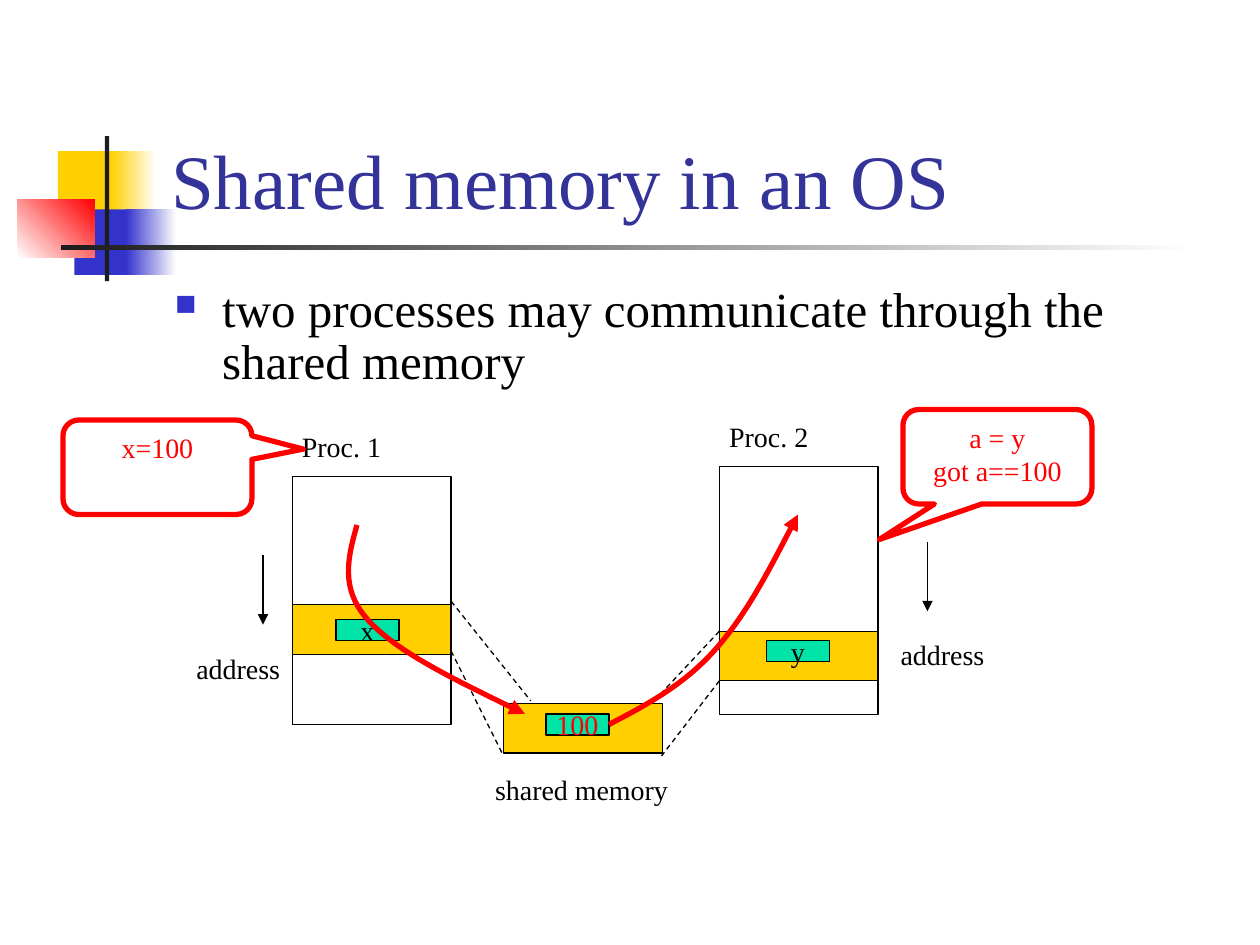
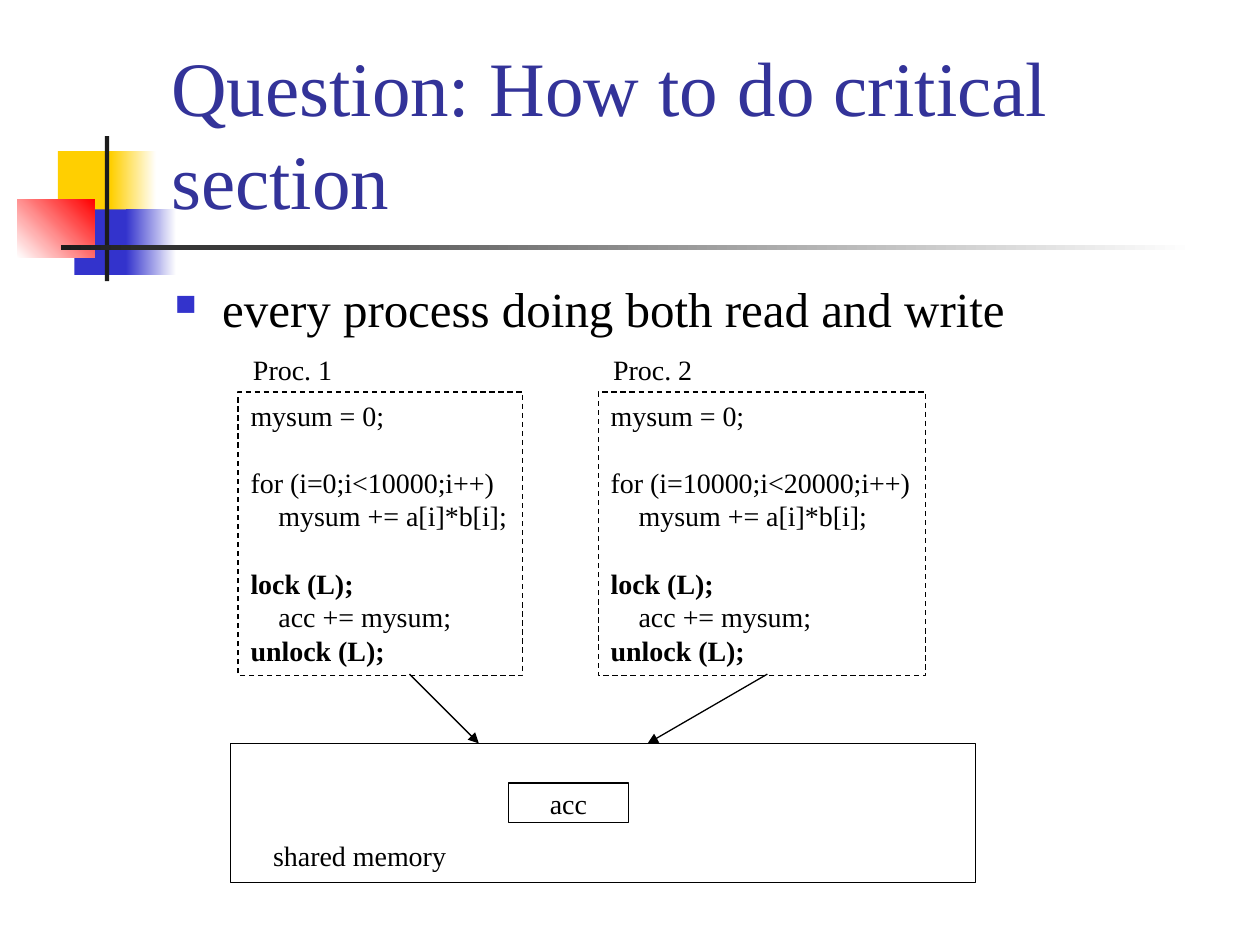
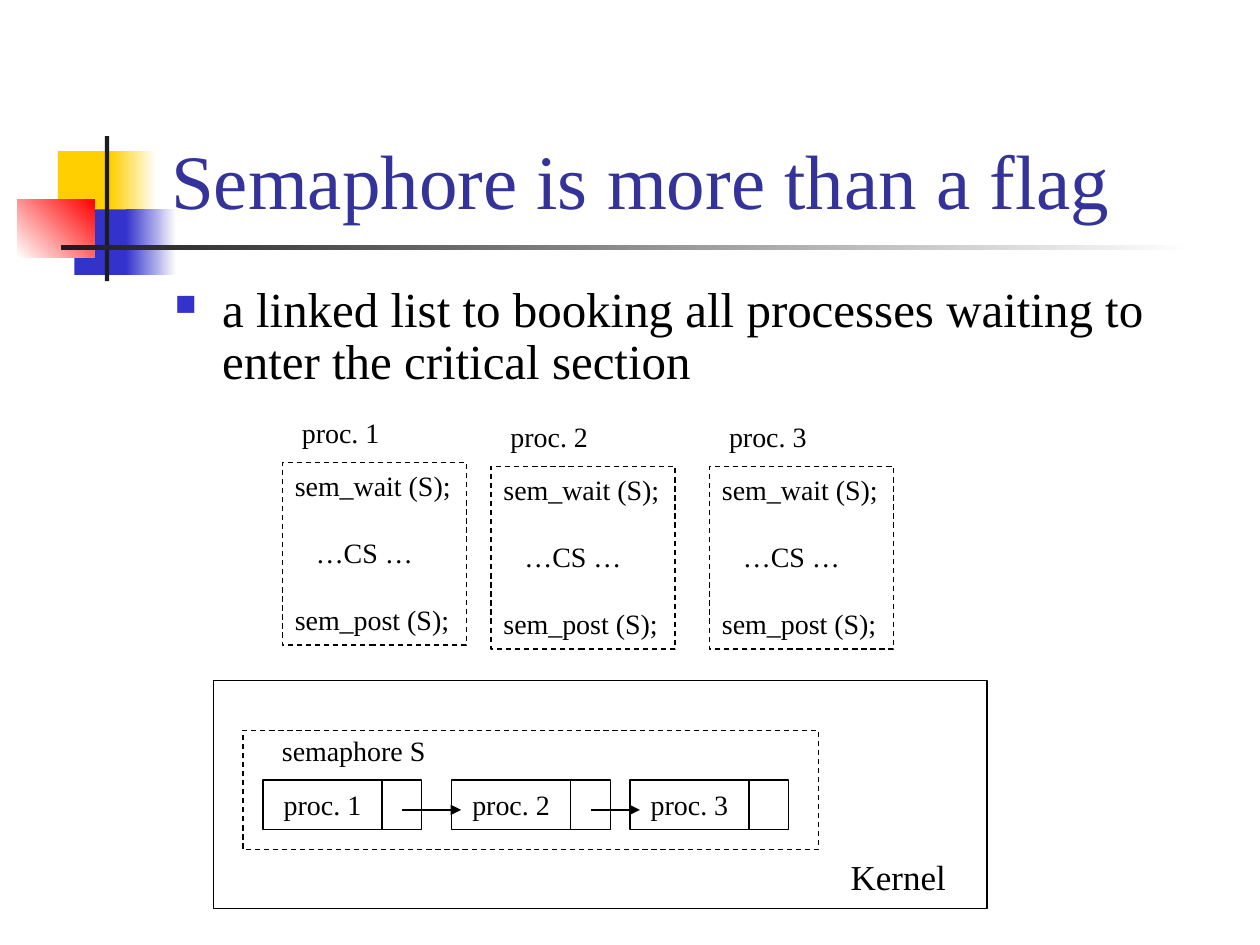
from lxml import etree
from pptx import Presentation
from pptx.dml.color import RGBColor
from pptx.enum.dml import MSO_LINE
from pptx.enum.shapes import MSO_CONNECTOR, MSO_SHAPE
from pptx.enum.text import MSO_ANCHOR, PP_ALIGN
from pptx.oxml.ns import qn
from pptx.util import Pt

RECT = MSO_SHAPE.RECTANGLE
CALLOUT = MSO_SHAPE.ROUNDED_RECTANGULAR_CALLOUT
STRAIGHT = MSO_CONNECTOR.STRAIGHT
DASH = MSO_LINE.DASH
TOP, MIDDLE, BOTTOM = MSO_ANCHOR.TOP, MSO_ANCHOR.MIDDLE, MSO_ANCHOR.BOTTOM
LEFT, CENTER = PP_ALIGN.LEFT, PP_ALIGN.CENTER

FONT = "Times New Roman"
BLACK, WHITE, RED = "000000", "FFFFFF", "FF0000"
NAVY, BLUE, YELLOW, GREEN, DARK = "333399", "3333CC", "FFCF01", "00E4A8", "1C1C1C"
LINE_HEIGHT = 19.2  # one line of 16 pt text


def rgb(value):
    return RGBColor.from_string(value)


def add_xml(parent, tag, **attrs):
    return etree.SubElement(parent, qn(tag), attrs)


def write(tf, text, size=16, color=BLACK, bold=False, align=LEFT,
          indent=0, before=0, spacing=None, bullet=None):
    """Add one paragraph; the first one fills the empty frame."""
    p = tf.paragraphs[0] if not tf.text else tf.add_paragraph()
    p.alignment = align
    p.space_before = Pt(before)
    if spacing:
        p.line_spacing = spacing
    r = p.add_run()
    r.text = text
    r.font.name, r.font.size, r.font.bold = FONT, Pt(size), bold
    r.font.color.rgb = rgb(color)
    pPr = p._p.get_or_add_pPr()
    if indent:
        pPr.set("marL", str(Pt(indent)))
    if bullet:
        pPr.set("indent", str(-Pt(indent)))
        add_xml(add_xml(pPr, "a:buClr"), "a:srgbClr", val=bullet)
        add_xml(pPr, "a:buSzPct", val="60000")
        add_xml(pPr, "a:buChar", char="■")


class Deck:
    def __init__(self):
        self.prs = Presentation()
        self.prs.slide_width, self.prs.slide_height = Pt(720), Pt(540)

    def new_slide(self, title, bullet):
        self.s = self.prs.slides.add_slide(self.prs.slide_layouts[6])
        # Coloured squares and the two rules
        self.box(33.1, 86.4, 34.6, 37.4, YELLOW, line=None)
        self.box(63.4, 86.4, 25.9, 37.4, (YELLOW, WHITE, 0), line=None)
        self.box(42.5, 119.7, 33.1, 37.4, BLUE, line=None)
        self.box(72, 119.7, 28.8, 37.4, (BLUE, WHITE, 0), line=None)
        self.box(9.8, 113.8, 44.2, 33.4, (WHITE, RED, 45), line=None)
        self.box(59.9, 77.8, 2.5, 82.8, DARK, line=None)
        self.box(34.8, 140.3, 648, 2.5, (DARK, WHITE, 0), line=None)
        # Title and bullet
        self.text(title, 90.7, 16.6, 613.4, 115.2, anchor=BOTTOM, wrap=True,
                  size=44, color=NAVY)
        self.text(bullet, 92.9, 159.1, 612, 71.3, wrap=True, size=28,
                  indent=27, before=5.6, spacing=0.9, bullet=BLUE)

    def stroke(self, sp, color=BLACK, width=0.75, dash=False, arrow=False):
        sp.line.color.rgb = rgb(color)
        sp.line.width = Pt(width)
        if dash:
            sp.line.dash_style = DASH
        if arrow:
            ln = sp.element.spPr.find(qn("a:ln"))
            add_xml(ln, "a:tailEnd", type="triangle")

    def box(self, x, y, w, h, fill=None, line=BLACK, width=0.75, dash=False,
            shape=RECT, adjust=()):
        sp = self.s.shapes.add_shape(shape, Pt(x), Pt(y), Pt(w), Pt(h))
        sp.shadow.inherit = False
        for i, value in enumerate(adjust):
            sp.adjustments[i] = value
        if fill is None:
            sp.fill.background()
        elif isinstance(fill, tuple):
            sp.fill.gradient()
            sp.fill.gradient_angle = fill[2]
            for stop, color in zip(sp.fill.gradient_stops, fill):
                stop.color.rgb = rgb(color)
        else:
            sp.fill.solid()
            sp.fill.fore_color.rgb = rgb(fill)
        if line:
            self.stroke(sp, line, width, dash)
        else:
            sp.line.fill.background()
        return sp

    def frame(self, sp, anchor=TOP, wrap=False):
        tf = sp.text_frame
        tf.word_wrap, tf.vertical_anchor = wrap, anchor
        return tf

    def text(self, text, x, y, w, h=26.6, anchor=TOP, wrap=False, **fmt):
        sp = self.s.shapes.add_textbox(Pt(x), Pt(y), Pt(w), Pt(h))
        write(self.frame(sp, anchor, wrap), text, **fmt)

    def cell(self, text, x, y, w, h, fill=None, color=BLACK):
        tf = self.frame(self.box(x, y, w, h, fill), MIDDLE)
        write(tf, text, color=color, align=CENTER)

    def callout(self, lines, x, y, adjust):
        sp = self.box(x, y, 108, 54, line=RED, width=3, shape=CALLOUT, adjust=adjust)
        tf = self.frame(sp, wrap=True)
        for line in lines:
            write(tf, line, color=RED, align=CENTER)

    def code(self, lines, x, y, w, h):
        tf = self.frame(self.box(x, y, w, h, dash=True))
        for line, fmt in lines:
            write(tf, line, **fmt)

    def line(self, x1, y1, x2, y2, **style):
        sp = self.s.shapes.add_connector(STRAIGHT, Pt(x1), Pt(y1), Pt(x2), Pt(y2))
        self.stroke(sp, **style)
        add_xml(sp.element.spPr, "a:effectLst")

    def curve(self, start, *points):
        """Bezier arrow: each three points are two controls and an end."""
        fb = self.s.shapes.build_freeform(Pt(start[0]), Pt(start[1]))
        fb.add_line_segments([(Pt(x), Pt(y)) for x, y in points], close=False)
        sp = fb.convert_to_shape()
        sp.shadow.inherit = False
        sp.fill.background()
        self.stroke(sp, RED, 3, arrow=True)
        steps = list(sp.element.iter(qn("a:lnTo")))
        for i in range(0, len(steps), 3):
            steps[i].tag = qn("a:cubicBezTo")
            for step in steps[i + 1:i + 3]:
                steps[i].append(step[0])
                step.getparent().remove(step)


deck = Deck()

# Slide 1: shared memory
deck.new_slide("Shared memory in an OS",
               "two processes may communicate through the shared memory")
BAND_W, BAND_H = 90.7, 28.3
processes = [  # name, left, top, band top, arrow x, arrow y, address x
    ("Proc. 1", 167, 272.2, 345.6, 150.3, 317.3, 105.1),
    ("Proc. 2", 411.1, 266.5, 360.7, 530, 309.7, 507.6),
]
for name, x, y, band_y, arrow_x, arrow_y, address_x in processes:
    deck.box(x, y, BAND_W, 141.8)
    deck.text(name, x - 1.5, y - 30.2, 59.8)
    deck.line(arrow_x, arrow_y, arrow_x, arrow_y + 39.6, arrow=True)
    deck.text("address", address_x, arrow_y + 51.2, 62.6)
    deck.box(x, band_y, BAND_W, BAND_H, YELLOW)
deck.text("shared memory", 275.8, 437.8, 113.8)
for ends in [(257.8, 343.6, 303.3, 400.5), (257.8, 372, 287.5, 431.5),
             (411.1, 360.7, 378, 396), (411.1, 389, 378, 432)]:
    deck.line(*ends, dash=True)
deck.box(287.8, 402, BAND_W, BAND_H, YELLOW)
for name, x, y, color in [("x", 192, 354, BLACK), ("y", 438, 366, BLACK),
                          ("100", 312, 408, RED)]:
    deck.cell(name, x, y, 36, 12, GREEN, color)
deck.callout(["a = y", "got a==100"], 516, 234, (-0.624, 0.875, 0.167))
deck.callout(["x=100"], 36, 240, (0.772, -0.192, 0.167))
deck.curve((204, 300), (199, 318), (194, 336), (210, 354),
           (226, 372), (263, 390), (300, 408))
deck.curve((348, 414), (369, 403), (390, 392), (408, 372),
           (426, 352), (441, 323), (456, 294))

# Slide 2: critical section
deck.new_slide("Question: How to do critical section",
               "every process doing both read and write")
loops = [("Proc. 1", "for (i=0;i<10000;i++)", 136.1, 162.7),
         ("Proc. 2", "for (i=10000;i<20000;i++)", 341.9, 187.2)]
for name, loop, x, w in loops:
    deck.code([("mysum = 0;", {}),
               (loop, {"before": LINE_HEIGHT}),
               ("mysum += a[i]*b[i];", {"indent": 16}),
               ("lock (L);", {"bold": True, "before": LINE_HEIGHT}),
               ("acc += mysum;", {"indent": 16}),
               ("unlock (L);", {"bold": True})], x, 224, w, 162)
    deck.text(name, x + 1.4, 198, 59.8)
deck.box(131.9, 424.8, 425.4, 79.4)
deck.text("shared memory", 149, 475.9, 113.8)
deck.cell("acc", 290.7, 447.5, 68.3, 22.6)
deck.line(234, 385.2, 273.6, 424.8, arrow=True)
deck.line(438.5, 385.2, 370.1, 424.8, arrow=True)

# Slide 3: semaphore queue
deck.new_slide("Semaphore is more than a flag",
               "a linked list to booking all processes waiting to enter the critical section")
waiting = [("proc. 1", 161.4, 264.2, 150.3), ("proc. 2", 280.6, 266.5, 258),
           ("proc. 3", 405.5, 266.5, 360)]
for name, x, y, node_x in waiting:
    deck.code([("sem_wait (S);", {}),
               ("…CS …", {"indent": 12, "before": LINE_HEIGHT}),
               ("sem_post (S);", {"before": LINE_HEIGHT})], x, y, 105.1, 104.4)
    deck.text(name, x + 4, y - 30.2, 59)
    deck.cell(name, node_x, 445.7, 68, 28.3)
    deck.box(node_x + 68, 445.7, 22.7, 28.3)
deck.box(121.9, 389, 442.2, 130.4)
deck.line(229.7, 462.8, 263.5, 462.8, arrow=True)
deck.line(337.5, 462.8, 365.6, 462.8, arrow=True)
deck.box(138.9, 417.4, 328.9, 68.2, dash=True)
deck.text("semaphore S", 154, 415.4, 97.2)
deck.text("Kernel", 479, 485.3, 69.1, 31, size=20)

deck.prs.save("out.pptx")
